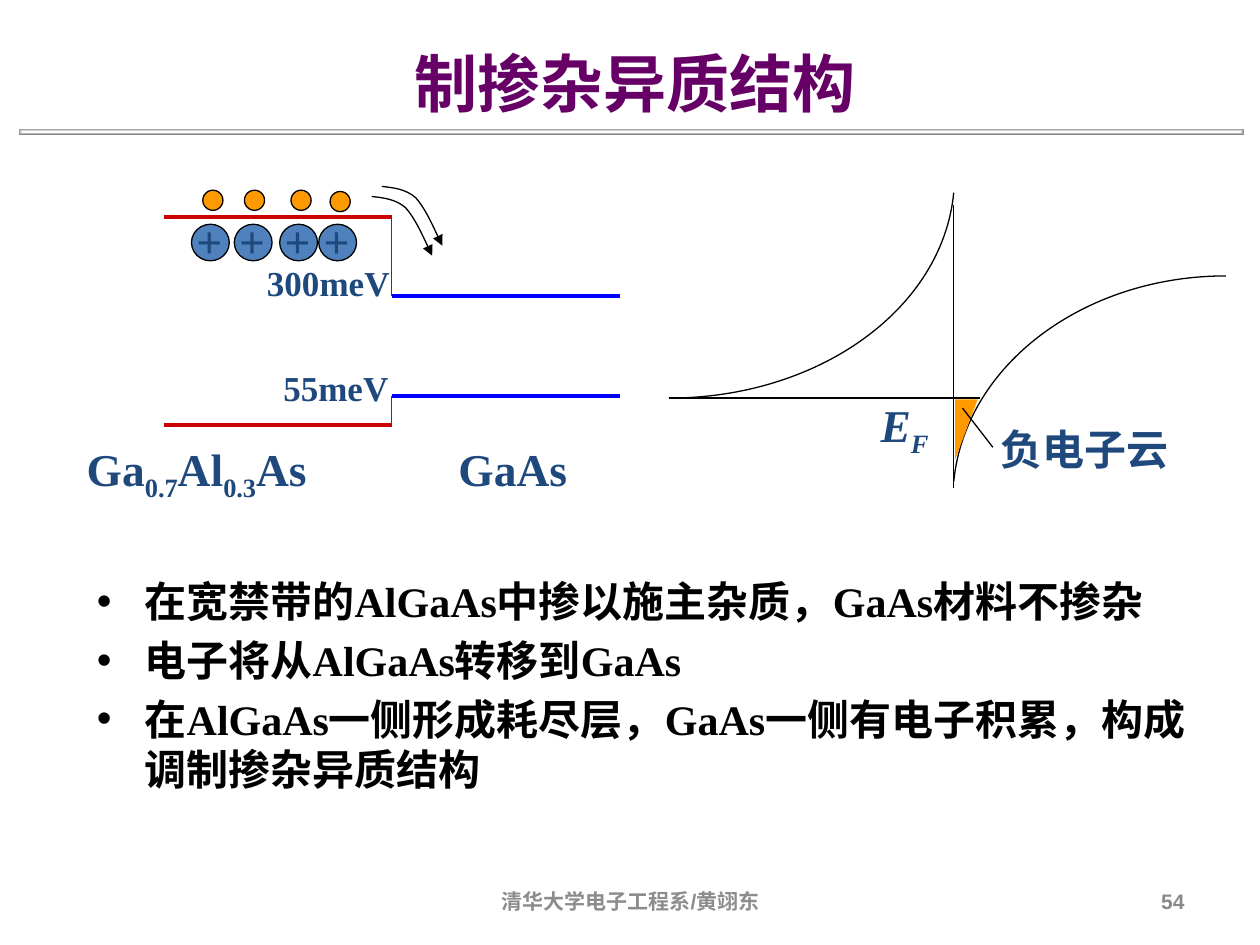
from lxml.etree import SubElement
from pptx import Presentation
from pptx.dml.color import RGBColor
from pptx.enum.shapes import MSO_CONNECTOR, MSO_SHAPE
from pptx.enum.text import MSO_ANCHOR, MSO_AUTO_SIZE, PP_ALIGN
from pptx.oxml.ns import qn
from pptx.util import Emu, Pt

PX = 9144
SERIF = "Times New Roman"
PURPLE = RGBColor(0x66, 0x00, 0x66)
BLACK = RGBColor(0x00, 0x00, 0x00)
WHITE = RGBColor(0xFF, 0xFF, 0xFF)
NAVY = RGBColor(0x1F, 0x49, 0x7D)
STEEL = RGBColor(0x4F, 0x81, 0xBD)
ORANGE = RGBColor(0xFF, 0x99, 0x00)
RED = RGBColor(0xCC, 0x00, 0x00)
BLUE = RGBColor(0x00, 0x00, 0xFF)
GRAY = RGBColor(0x80, 0x80, 0x80)
FOOTER_GRAY = RGBColor(0x8C, 0x8C, 0x8C)
NUMBER_GRAY = RGBColor(0x89, 0x89, 0x89)


def px(*values):
    return [Emu(v * PX) for v in values]


def format_run(r, size, color, name=SERIF, italic=False):
    r.font.size = Pt(size)
    r.font.name = name
    r.font.bold = True
    r.font.italic = italic
    r.font.color.rgb = color


def add_title(s, text):
    title = s.shapes.title
    title.left, title.top, title.width, title.height = px(319, 3, 607, 125)
    tf = title.text_frame
    tf.text = text
    tf.vertical_anchor = MSO_ANCHOR.MIDDLE
    p = tf.paragraphs[0]
    p.alignment = PP_ALIGN.LEFT
    format_run(p.runs[0], 36, PURPLE)


def add_label(s, box, parts, size=26, italic=False):
    tf = s.shapes.add_textbox(*px(*box)).text_frame
    tf.word_wrap = False
    tf.auto_size = MSO_AUTO_SIZE.SHAPE_TO_FIT_TEXT
    for i, part in enumerate(parts):
        r = tf.paragraphs[0].add_run()
        r.text = part
        format_run(r, size, NAVY, italic=italic)
        if i % 2:
            r.font._element.set("baseline", "-25000")


def add_bullets(s, box, items):
    tf = s.shapes.add_textbox(*px(*box)).text_frame
    tf.word_wrap = True
    for i, item in enumerate(items):
        p = tf.paragraphs[0] if i == 0 else tf.add_paragraph()
        p.text = item
        pPr = p._p.get_or_add_pPr()
        pPr.set("marL", str(38 * PX))
        pPr.set("indent", str(-38 * PX))
        if i:
            p.space_before = Pt(4.8)
        SubElement(pPr, qn("a:buFont")).set("typeface", "Arial")
        SubElement(pPr, qn("a:buChar")).set("char", "•")
        format_run(p.runs[0], 24, BLACK)


def add_footer(s, box, text, color, align):
    tf = s.shapes.add_textbox(*px(*box)).text_frame
    tf.word_wrap = True
    tf.vertical_anchor = MSO_ANCHOR.MIDDLE
    tf.text = text
    p = tf.paragraphs[0]
    p.alignment = align
    format_run(p.runs[0], 12, color, "Arial")


def add_line(s, start, end, color=BLACK, width=0.75):
    line = s.shapes.add_connector(MSO_CONNECTOR.STRAIGHT, *px(*start, *end))
    line.line.color.rgb = color
    line.line.width = Pt(width)
    SubElement(line._element.spPr, qn("a:effectLst"))


def add_solid(s, kind, box, fill, outlined=True):
    sp = s.shapes.add_shape(kind, *px(*box))
    sp.shadow.inherit = False
    sp.fill.solid()
    sp.fill.fore_color.rgb = fill
    if outlined:
        sp.line.color.rgb = BLACK
        sp.line.width = Pt(0.75)
    else:
        sp.line.fill.background()
    return sp


def add_curve(s, points, arrow=False):
    builder = s.shapes.build_freeform(*points[0], scale=PX)
    builder.add_line_segments(points[1:], close=False)
    sp = builder.convert_to_shape()
    path = next(sp._element.iter(qn("a:path")))
    segments = path.findall(qn("a:lnTo"))
    for i in range(0, len(segments), 3):
        bezier = SubElement(path, qn("a:cubicBezTo"))
        for segment in segments[i:i + 3]:
            bezier.append(segment[0])
            path.remove(segment)
    sp.shadow.inherit = False
    sp.fill.background()
    sp.line.color.rgb = BLACK
    sp.line.width = Pt(0.75)
    if arrow:
        ln = sp._element.spPr.find(qn("a:ln"))
        SubElement(ln, qn("a:tailEnd")).set("type", "triangle")


def add_rule(s):
    sp = add_solid(s, MSO_SHAPE.RECTANGLE, (15, 102, 972, 5), GRAY, outlined=False)
    sp.fill.gradient()
    for stop, color in zip(sp.fill.gradient_stops, (WHITE, GRAY)):
        stop.color.rgb = color
    grad = sp._element.spPr.find(qn("a:gradFill"))
    grad.remove(grad.find(qn("a:lin")))
    path = SubElement(grad, qn("a:path"))
    path.set("path", "shape")
    center = SubElement(path, qn("a:fillToRect"))
    for side in "ltrb":
        center.set(side, "50000")


def add_band_diagram(s):
    left, junction, right = 130, 311, 492
    for y in (172, 337):
        add_line(s, (left, y), (junction, y), RED, 2.25)
    for y in (235, 314):
        add_line(s, (junction, y), (right, y), BLUE, 2.25)
    for top, bottom in ((172, 235), (314, 337)):
        add_line(s, (junction, top), (junction, bottom), RED)
    for x in (186, 222, 253, 152):
        add_solid(s, MSO_SHAPE.OVAL, (x, 178, 30, 29), STEEL)
        add_label(s, (x - 6, 164, 41, 53), ["+"])
    for x, y in ((161, 151), (194, 151), (231, 151), (262, 152)):
        add_solid(s, MSO_SHAPE.OVAL, (x, y, 16, 16), ORANGE)
    transfer = ((0, 0), (9, 1), (19, 2), (27, 9), (34, 17), (41, 32), (48, 47))
    for x, y in ((295, 156), (303, 148)):
        add_curve(s, [(x + dx, y + dy) for dx, dy in transfer], arrow=True)
    add_label(s, (202, 203, 121, 43), ["300meV"], 20)
    add_label(s, (215, 286, 107, 43), ["55meV"], 20)
    add_label(s, (59, 345, 206, 53), ["Ga", "0.7", "Al", "0.3", "As"])
    add_label(s, (354, 345, 110, 53), ["GaAs"])


def add_bending_diagram(s):
    junction, fermi = 757, 316
    add_curve(s, [(531, fermi), (649, fermi), (748, 246), (junction, 153)])
    add_curve(s, [(973, 219), (860, 219), (766, 290), (junction, 382)])
    add_line(s, (junction, 163), (junction, 387))
    add_line(s, (531, fermi), (778, fermi))
    cloud = add_solid(s, MSO_SHAPE.RIGHT_TRIANGLE, (758, 317, 18, 48), ORANGE, outlined=False)
    cloud._element.spPr.xfrm.set("flipV", "1")
    add_label(s, (784, 331, 156, 50), ["负电子云"], 24)
    add_line(s, (788, 355), (764, 324))
    add_label(s, (689, 310, 62, 53), ["E", "F"], italic=True)


def main():
    prs = Presentation()
    prs.slide_width, prs.slide_height = px(1000, 750)
    s = prs.slides.add_slide(prs.slide_layouts[5])
    add_title(s, "制掺杂异质结构")
    add_bullets(s, (67, 452, 890, 211), [
        "在宽禁带的AlGaAs中掺以施主杂质，GaAs材料不掺杂",
        "电子将从AlGaAs转移到GaAs",
        "在AlGaAs一侧形成耗尽层，GaAs一侧有电子积累，构成调制掺杂异质结构",
    ])
    add_band_diagram(s)
    add_bending_diagram(s)
    add_footer(s, (342, 695, 317, 40), "清华大学电子工程系/黄翊东", FOOTER_GRAY, PP_ALIGN.CENTER)
    add_footer(s, (717, 695, 233, 40), "54", NUMBER_GRAY, PP_ALIGN.RIGHT)
    add_rule(s)
    prs.save("out.pptx")


if __name__ == "__main__":
    main()
